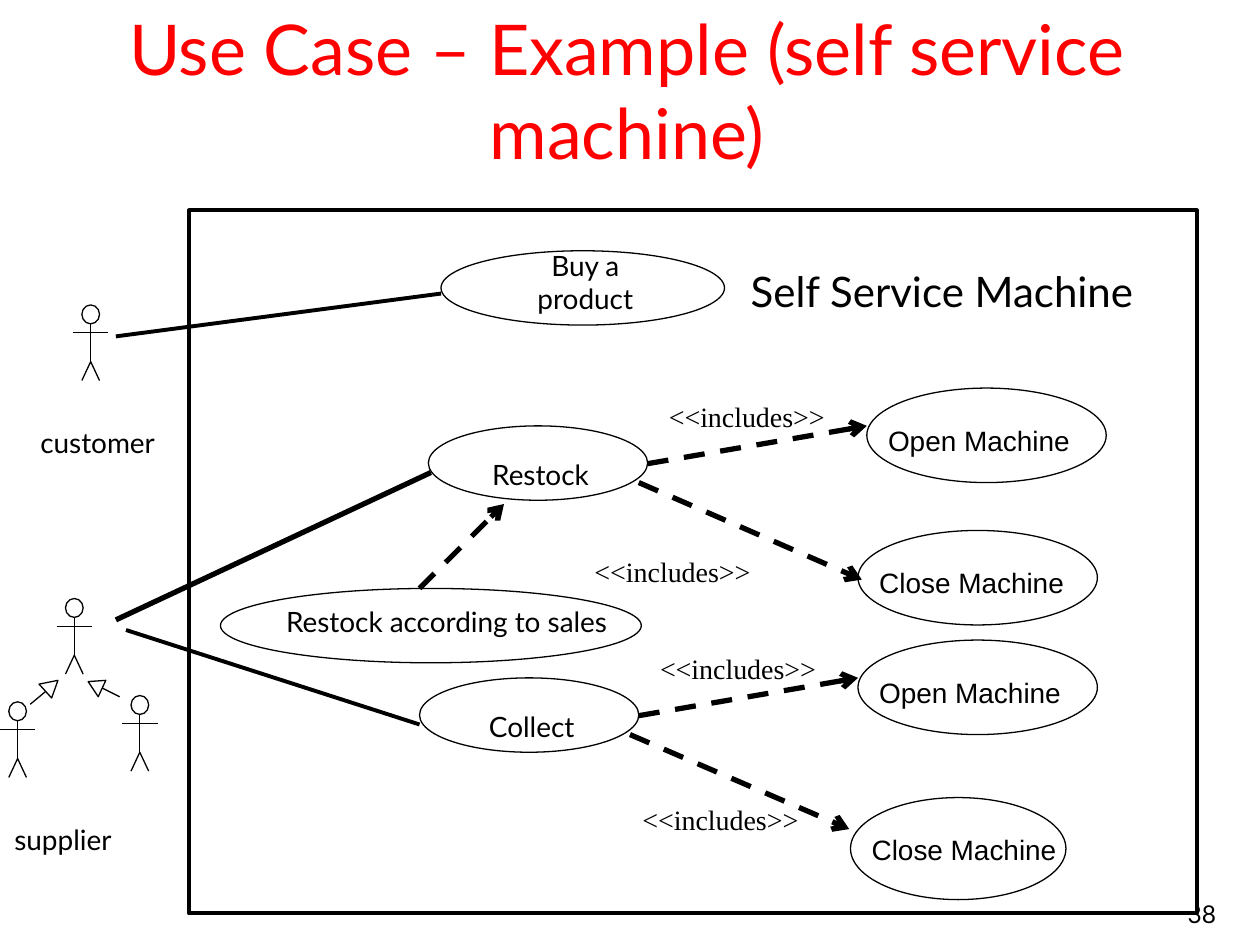
from lxml import etree
from pptx import Presentation
from pptx import util as u
from pptx.dml.color import RGBColor
from pptx.enum import dml, shapes, text
from pptx.oxml import ns

COLORS = {"ink": "000000", "paper": "FFFFFF", "title": "FF0000"}
SANS, ARIAL, SERIF = "Lato", "Arial", "Times New Roman"
LEFT, CENTER, RIGHT = text.PP_ALIGN.LEFT, text.PP_ALIGN.CENTER, text.PP_ALIGN.RIGHT


def color(name):
    """Look up a palette colour."""
    return RGBColor.from_string(COLORS[name])


def inches(*lengths):
    """Turn plain numbers into lengths."""
    return [u.Inches(length) for length in lengths]


def style_outline(part, width=0.75, fill=None):
    """Give a shape a black outline, an optional fill and no shadow."""
    part.shadow.inherit = False
    if fill:
        part.fill.solid()
        part.fill.fore_color.rgb = color(fill)
    else:
        part.fill.background()
    part.line.color.rgb = color("ink")
    part.line.width = u.Pt(width)


def style_text(frame, words, size, font, align, ink="ink"):
    """Write one paragraph and format its run."""
    frame.text = words
    paragraph = frame.paragraphs[0]
    paragraph.alignment = align
    run = paragraph.runs[0]
    run.font.size = u.Pt(size)
    run.font.name = font
    run.font.color.rgb = color(ink)


def add_label(parent, box, words, font=SANS, size=16, align=CENTER, wrap=False):
    """Add a text box."""
    frame = parent.add_textbox(*inches(*box)).text_frame
    frame.word_wrap = wrap
    style_text(frame, words, size, font, align)
    return frame


def add_line(parent, start, end, width=0.75, include=False):
    """Add a straight line, dashed with an open arrowhead for an include."""
    line = parent.add_connector(shapes.MSO_CONNECTOR.STRAIGHT, *inches(*start, *end))
    line.line.color.rgb = color("ink")
    line.line.width = u.Pt(width)
    properties = line._element.spPr
    if include:
        line.line.dash_style = dml.MSO_LINE.DASH
        outline = properties.find(ns.qn("a:ln"))
        etree.SubElement(outline, ns.qn("a:tailEnd"), type="arrow")
    etree.SubElement(properties, ns.qn("a:effectLst"))


def add_outline(parent, points, close):
    """Add an unfilled path through the points."""
    start, *others = [tuple(inches(*point)) for point in points]
    builder = parent.build_freeform(*start)
    builder.add_line_segments(others, close=close)
    style_outline(builder.convert_to_shape())


def add_ellipse(parent, box):
    """Add an outlined ellipse."""
    style_outline(parent.add_shape(shapes.MSO_SHAPE.OVAL, *inches(*box)))


def add_title(slide, box, words):
    """Move and format the title placeholder."""
    title = slide.shapes.title
    title.left, title.top, title.width, title.height = inches(*box)
    title.fill.solid()
    title.fill.fore_color.rgb = color("paper")
    frame = title.text_frame
    frame.word_wrap = True
    frame.auto_size = text.MSO_AUTO_SIZE.NONE
    frame.vertical_anchor = text.MSO_ANCHOR.MIDDLE
    style_text(frame, words, 40, SANS, CENTER, "title")


def add_page_number(slide, box, number):
    """Add the page number at the bottom of its box."""
    frame = add_label(slide.shapes, box, number, size=14, align=RIGHT, wrap=True)
    frame.vertical_anchor = text.MSO_ANCHOR.BOTTOM


def add_system(slide, box, name):
    """Add the system boundary and its name."""
    left, top, _, _ = box
    boundary = slide.shapes.add_shape(shapes.MSO_SHAPE.RECTANGLE, *inches(*box))
    style_outline(boundary, 2.25, "paper")
    add_label(slide.shapes, (left + 4.28, top + 0.39, 3.39, 0.5), name, size=24)


def add_use_case(slide, box, name, offset, width, font=SANS, align=CENTER):
    """Add a grouped use case with its name offset from the ellipse's corner."""
    left, top, _, _ = box
    case = slide.shapes.add_group_shape().shapes
    add_ellipse(case, box)
    name_box = (left + offset[0], top + offset[1], width, 0.37)
    add_label(case, name_box, name, font, align=align, wrap=True)


def add_actor(slide, box):
    """Add a grouped stick figure filling the box."""
    left, top, width, height = box
    middle, neck, hip = left + width / 2, top + height / 4, top + height * 3 / 4
    reach, foot = width / 4, top + height
    figure = slide.shapes.add_group_shape().shapes
    add_ellipse(figure, (middle - reach, top, 2 * reach, height / 4))
    add_line(figure, (middle, neck), (middle, hip))
    add_outline(figure, [(middle - reach, foot), (middle, hip), (middle + reach, foot)], False)
    add_line(figure, (left, neck + 0.07), (left + width, neck + 0.07))


def add_generalization(slide, start, end, head):
    """Add a grouped line with a hollow triangular head."""
    arrow = slide.shapes.add_group_shape().shapes
    add_line(arrow, start, end)
    add_outline(arrow, head, True)


def main():
    """Build the use case slide."""
    deck = Presentation()
    deck.slide_width, deck.slide_height = inches(10, 7.5)
    slide = deck.slides.add_slide(deck.slide_layouts[5])

    add_page_number(slide, (7.67, 6.92, 2.08, 0.5), "38")
    add_system(slide, (1.5, 1.67, 8, 5.58), "Self Service Machine")
    add_title(slide, (0.17, 0.17, 9.61, 1.08), "Use Case – Example (self service machine)")

    for box, name, offset, width in [
        ((3.5, 1.99, 2.25, 0.59), "Buy a product", (0.45, -0.07), 1.39),
        ((3.4, 3.38, 1.74, 0.59), "Restock", (0.35, 0.2), 1.08),
        ((1.75, 4.67, 3.34, 0.59), "Restock according to sales", (0.17, 0.08), 3.25),
        ((3.33, 5.38, 1.74, 0.59), "Collect", (0.35, 0.2), 1.08),
    ]:
        add_use_case(slide, box, name, offset, width)

    for box, name in [
        ((6.88, 3.08, 1.9, 0.75), "Open Machine"),
        ((6.81, 4.21, 1.9, 0.75), "Close Machine"),
        ((6.81, 5.08, 1.9, 0.75), "Open Machine"),
        ((6.75, 6.33, 1.71, 0.81), "Close Machine"),
    ]:
        add_use_case(slide, box, name, (0.07, 0.23), 1.97, ARIAL, LEFT)

    for start, end in [
        ((5.14, 3.68), (6.88, 3.38)),
        ((5.07, 3.83), (6.84, 4.6)),
        ((5.07, 5.68), (6.81, 5.38)),
        ((5, 5.83), (6.74, 6.58)),
        ((3.33, 4.67), (4, 4)),
    ]:
        add_line(slide.shapes, start, end, 3, include=True)
    for left, top in [(5.21, 3.12), (4.62, 4.35), (5.14, 5.12), (5, 6.32)]:
        add_label(slide.shapes, (left, top, 1.44, 0.37), "<<includes>>", SERIF, align=LEFT)

    for left, top in [(0.58, 2.42), (0.45, 4.75), (0, 5.57), (0.97, 5.52)]:
        add_actor(slide, (left, top, 0.28, 0.6))
    add_label(slide.shapes, (0.18, 3.33, 1.19, 0.37), "customer")
    add_label(slide.shapes, (-0.02, 6.48, 1.04, 0.37), "supplier")
    add_generalization(slide, (0.24, 5.59), (0.36, 5.49), [(0.31, 5.43), (0.41, 5.54), (0.46, 5.4)])
    add_generalization(slide, (0.95, 5.53), (0.81, 5.46), [(0.78, 5.53), (0.84, 5.4), (0.7, 5.41)])

    for start, end, width in [
        ((0.92, 2.67), (3.5, 2.33), 2.25),
        ((0.92, 4.92), (3.42, 3.75), 3),
        ((1, 5), (3.33, 5.75), 2.25),
    ]:
        add_line(slide.shapes, start, end, width)

    deck.save("out.pptx")


if __name__ == "__main__":
    main()
